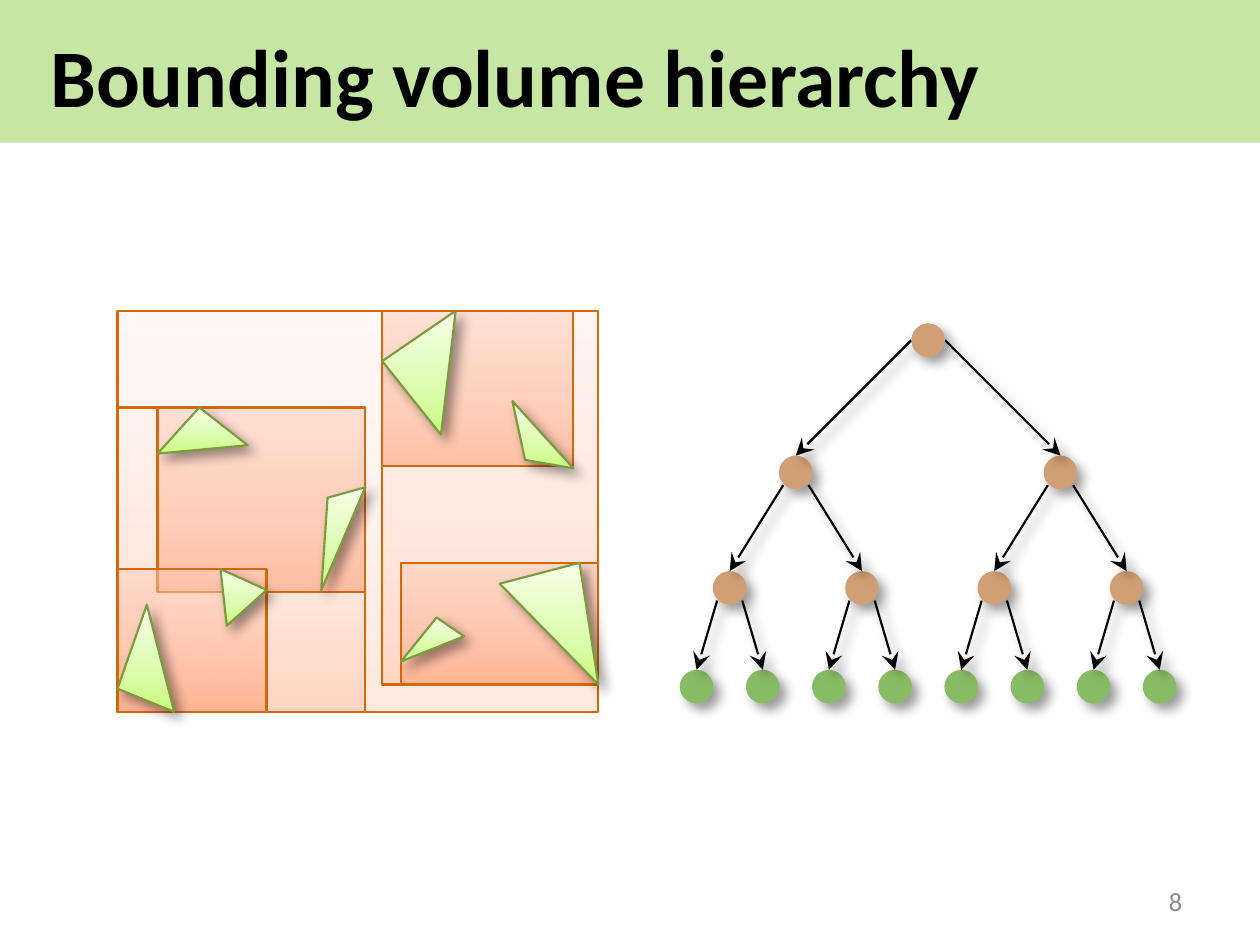
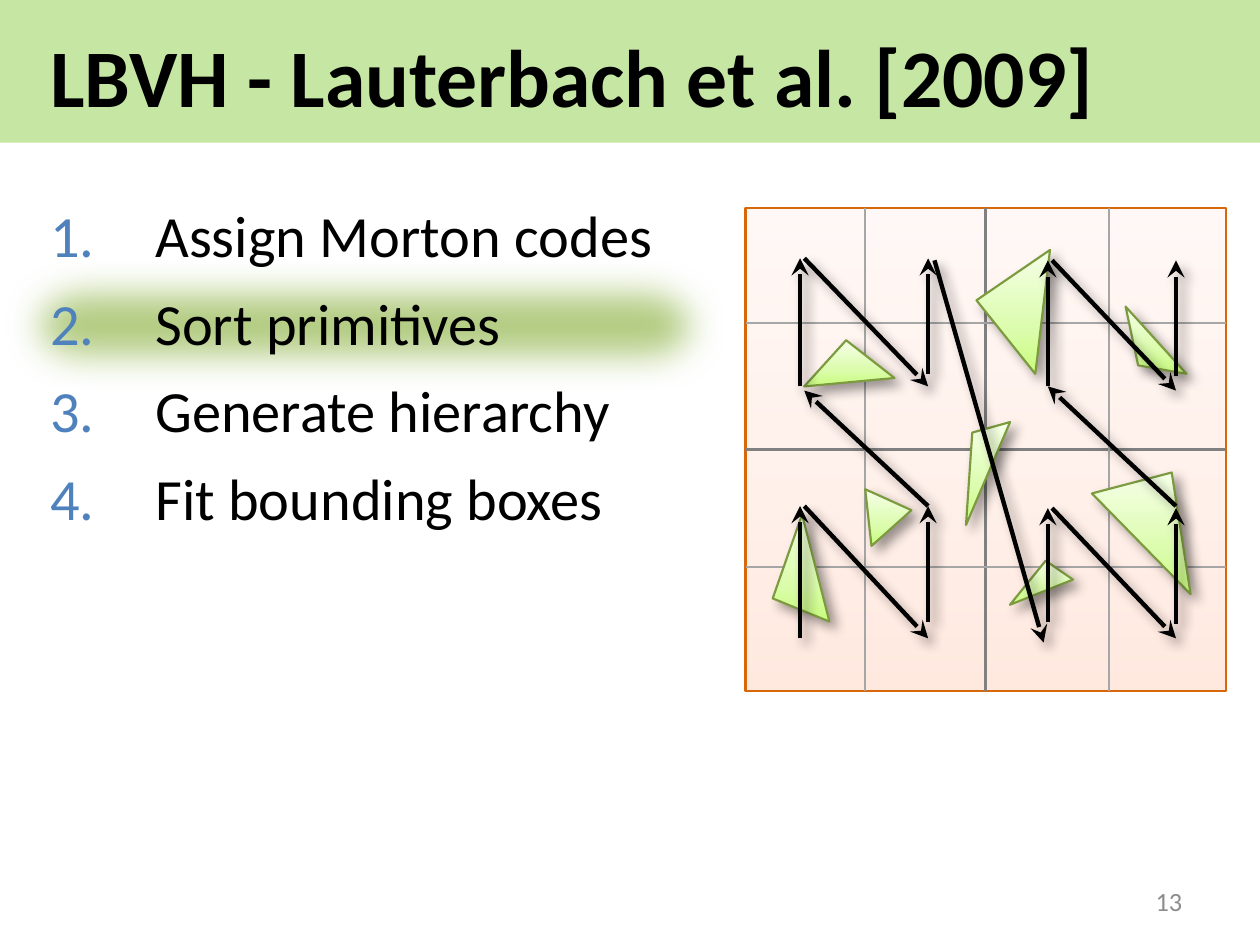
from lxml import etree
from pptx import Presentation
from pptx.dml.color import RGBColor
from pptx.enum.shapes import MSO_CONNECTOR, MSO_SHAPE
from pptx.enum.text import MSO_ANCHOR, PP_ALIGN
from pptx.oxml.ns import qn
from pptx.util import Inches, Pt

RECTANGLE = MSO_SHAPE.RECTANGLE
ROUNDED = MSO_SHAPE.ROUNDED_RECTANGLE
ELLIPSE = MSO_SHAPE.OVAL
STRAIGHT = MSO_CONNECTOR.STRAIGHT
TOP, MIDDLE = MSO_ANCHOR.TOP, MSO_ANCHOR.MIDDLE
LEFT, RIGHT = PP_ALIGN.LEFT, PP_ALIGN.RIGHT

BLACK = RGBColor(0x00, 0x00, 0x00)
BAND_GREEN = RGBColor(0x92, 0xD0, 0x50)
HIGHLIGHT_GREEN = RGBColor(0xB3, 0xCC, 0x82)
LEAF_GREEN = RGBColor(0x88, 0xBC, 0x64)
NODE_TAN = RGBColor(0xD1, 0x9F, 0x75)
BOX_ORANGE = RGBColor(0xD8, 0x67, 0x0A)
TRIANGLE_EDGE = RGBColor(0x7C, 0x9B, 0x3F)
NUMBER_BLUE = RGBColor(0x4F, 0x81, 0xBD)
PAGE_GRAY = RGBColor(0x8C, 0x8C, 0x8C)
MEDIAN_GRAY = RGBColor(0x80, 0x80, 0x80)
GRID_GRAY = RGBColor(0xA6, 0xA6, 0xA6)

STOPS = (0, 35, 100)
SCENE_TONE = ("FFD4C0", "FFE2D5", "FFF4F0")
HALF_TONE = ("FFC2A7", "FFDED0", "FFF3EE")
QUARTER_TONE = ("FF9564", "FFAE8B", "FFCFBC")
TRIANGLE_TONE = ("C9FC7E", "DBFCAC", "F5FFE7")

FONT = "Calibri"
TITLE_FONT = {"name": FONT, "size": Pt(28), "bold": True}
BODY_FONT = {"name": FONT, "size": Pt(20)}
PAGE_FONT = {"name": FONT, "size": Pt(9)}
INSETS = {
    "margin_left": Inches(0.07),
    "margin_right": Inches(0.07),
    "margin_top": Inches(0.04),
    "margin_bottom": Inches(0.04),
}

TRIANGLES = [
    [(0, 0.4), (0.14, 0), (0.27, 0.51)],
    [(0.03, 0.27), (0, 0), (0.22, 0.1)],
    [(0.17, 0), (0.3, 0.09), (0, 0.21)],
    [(0, 0.1), (0.38, 0), (0.47, 0.58)],
    [(0.03, 0.05), (0.21, 0), (0, 0.49)],
    [(0, 0.22), (0.2, 0), (0.43, 0.18)],
    [(0, 0.24), (0.35, 0), (0.28, 0.59)],
    [(0.06, 0.28), (0, 0), (0.29, 0.32)],
]
NESTED_PLACES = [(0, 1.4), (0.49, 1.23), (1.35, 1.46), (1.82, 1.2),
                 (0.97, 0.84), (0.19, 0.46), (1.26, 0), (1.88, 0.43)]
GRID_PLACES = [(0.13, 1.46), (0.57, 1.34), (1.26, 1.68), (1.65, 1.26),
               (1.05, 1.02), (0.28, 0.63), (1.1, 0.2), (1.81, 0.47)]
VOLUMES = [
    (0, 0, 2.29, 1.91, SCENE_TONE),
    (1.26, 0, 1.03, 1.78, HALF_TONE),
    (0, 0.46, 1.18, 1.45, HALF_TONE),
    (0.19, 0.46, 0.99, 0.88, QUARTER_TONE),
    (1.26, 0, 0.91, 0.74, QUARTER_TONE),
    (1.35, 1.2, 0.94, 0.58, QUARTER_TONE),
    (0, 1.23, 0.71, 0.68, QUARTER_TONE),
]
LEVEL_TOPS = (1.54, 2.17, 2.72, 3.19)
NODE_SIZE = 0.16
QUADRANTS = [
    (0.26, 1.42, 0.63, 0.63),
    (0.26, 0.24, 0.61, 0.61),
    (1.44, 1.43, 0.54, 0.62),
    (1.44, 0.25, 0.6, 0.62),
]
QUADRANT_LINKS = [
    (0.87, 1.42, 0.28, 0.87),
    (0.9, 0.25, 1.42, 2.07),
    (2.05, 1.42, 1.44, 0.85),
]
STEPS = ["Assign Morton codes", "Sort primitives",
         "Generate hierarchy", "Fit bounding boxes"]


def child(parent, tag, **attributes):
    element = etree.SubElement(parent, qn(tag))
    for name, value in attributes.items():
        element.set(name, str(value))
    return element


def set_effect(shape, shadow=False, soft_edge=None):
    effects = child(shape.element.spPr, "a:effectLst")
    if shadow:
        outer = child(effects, "a:outerShdw", blurRad=Pt(4), dist=Pt(3),
                      dir=2700000, algn="tl", rotWithShape=0)
        child(child(outer, "a:srgbClr", val=BLACK), "a:alpha", val=40000)
    if soft_edge:
        child(effects, "a:softEdge", rad=soft_edge)


def set_gradient(shape, tone, opacity=100):
    shape.fill.gradient()
    shape.fill.gradient_angle = 90
    stop_list = shape.element.spPr.find(".//" + qn("a:gsLst"))
    for stop in list(stop_list):
        stop_list.remove(stop)
    for position, color in zip(STOPS, tone):
        stop = child(stop_list, "a:gs", pos=position * 1000)
        color_element = child(stop, "a:srgbClr", val=color)
        child(color_element, "a:alpha", val=opacity * 1000)


def set_line(shape, color, width=0.75):
    shape.line.color.rgb = color
    shape.line.width = Pt(width)


def add_solid(slide, kind, box, color, opacity=100):
    shape = slide.shapes.add_shape(kind, *map(Inches, box))
    shape.fill.solid()
    shape.fill.fore_color.rgb = color
    if opacity < 100:
        color_element = shape.element.spPr.find(".//" + qn("a:srgbClr"))
        child(color_element, "a:alpha", val=opacity * 1000)
    shape.line.fill.background()
    return shape


def add_volume(slide, box, tone):
    shape = slide.shapes.add_shape(RECTANGLE, *map(Inches, box))
    set_gradient(shape, tone, 50)
    set_line(shape, BOX_ORANGE)
    set_effect(shape)
    return shape


def add_line(slide, ends, color, width):
    connector = slide.shapes.add_connector(STRAIGHT, *map(Inches, ends))
    set_line(connector, color, width)
    return connector


def add_grid_line(slide, ends, color, width):
    connector = add_line(slide, ends, color, width)
    set_effect(connector)
    return connector


def add_arrow(slide, ends, width):
    connector = add_line(slide, ends, BLACK, width)
    child(connector.element.spPr.find(qn("a:ln")), "a:tailEnd", type="stealth")
    set_effect(connector, shadow=True)
    return connector


def add_text(slide, box, lines, font, color, anchor=MIDDLE, align=LEFT):
    text_frame = slide.shapes.add_textbox(*map(Inches, box)).text_frame
    for name, value in INSETS.items():
        setattr(text_frame, name, value)
    text_frame.word_wrap = True
    text_frame.vertical_anchor = anchor
    text_frame.text = "\n".join(lines)
    for paragraph in text_frame.paragraphs:
        paragraph.alignment = align
        run_font = paragraph.runs[0].font
        for name, value in font.items():
            setattr(run_font, name, value)
        run_font.color.rgb = color
    return text_frame


def add_frame(presentation, title, page):
    slide = presentation.slides.add_slide(presentation.slide_layouts[6])
    set_effect(add_solid(slide, RECTANGLE, (0, 0, 6, 0.68), BAND_GREEN, 52))
    add_text(slide, (0.17, 0.08, 5.64, 0.55), [title], TITLE_FONT, BLACK)
    add_text(slide, (4.3, 4.17, 1.4, 0.24), [page], PAGE_FONT, PAGE_GRAY,
             align=RIGHT)
    return slide


def add_triangles(slide, left, top, places):
    for outline, (x, y) in zip(TRIANGLES, places):
        points = [(Inches(left + x + dx), Inches(top + y + dy))
                  for dx, dy in outline]
        builder = slide.shapes.build_freeform(*points[0])
        builder.add_line_segments(points[1:], close=True)
        triangle = builder.convert_to_shape()
        set_gradient(triangle, TRIANGLE_TONE)
        set_line(triangle, TRIANGLE_EDGE)
        set_effect(triangle, shadow=True)


def add_nested_volumes(slide, left, top):
    for x, y, width, height, tone in VOLUMES:
        add_volume(slide, (left + x, top + y, width, height), tone)
    add_triangles(slide, left, top, NESTED_PLACES)


def add_tree(slide, left, width):
    deepest = len(LEVEL_TOPS) - 1
    children = []
    for depth in range(deepest, -1, -1):
        pitch = width / 2 ** depth
        node_top = LEVEL_TOPS[depth]
        reach, drop = (0.08, 0.08) if depth == 0 else (0.06, 0.14)
        nodes = []
        for index in range(2 ** depth):
            center = left + (index + 0.5) * pitch
            for side, node in zip((-1, 1), children[2 * index:2 * index + 2]):
                edge = add_arrow(slide, (center + side * reach, node_top + drop,
                                         center, node_top), 0.75)
                edge.end_connect(node, 0)
            color = LEAF_GREEN if depth == deepest else NODE_TAN
            node = add_solid(slide, ELLIPSE, (center - NODE_SIZE / 2, node_top,
                                              NODE_SIZE, NODE_SIZE), color)
            set_effect(node, shadow=True)
            nodes.append(node)
        children = nodes


def add_steps(slide, left, top):
    highlight = add_solid(slide, ROUNDED, (0, top + 0.32, 3.47, 0.63),
                          HIGHLIGHT_GREEN)
    highlight.adjustments[0] = 0.34
    set_effect(highlight, soft_edge=Pt(12.5))
    text_frame = add_text(slide, (left, top, 3.07, 3.11), STEPS, BODY_FONT,
                          BLACK, anchor=TOP)
    for paragraph in text_frame.paragraphs:
        paragraph.space_before = Pt(6)
        properties = paragraph._p.get_or_add_pPr()
        properties.set("marL", str(Inches(0.5)))
        properties.set("indent", str(Inches(-0.5)))
        child(child(properties, "a:buClr"), "a:srgbClr", val=NUMBER_BLUE)
        child(properties, "a:buFont", typeface="+mj-lt")
        child(properties, "a:buAutoNum", type="arabicPeriod")


def add_morton_grid(slide, left, top, width, height):
    right, bottom = left + width, top + height
    scene = add_volume(slide, (left, top, width, height), SCENE_TONE)
    for start, end in ((1, 3), (0, 2)):
        median = add_grid_line(slide, (left, top, right, bottom), MEDIAN_GRAY, 1)
        median.begin_connect(scene, start)
        median.end_connect(scene, end)
    for x in (left + 0.57, left + 1.73):
        add_grid_line(slide, (x, top, x, bottom), GRID_GRAY, 0.75)
    for y in (top + 0.55, top + 1.71):
        add_grid_line(slide, (left, y, right, y), GRID_GRAY, 0.75)
    add_triangles(slide, left, top, GRID_PLACES)

    arrows = list(QUADRANT_LINKS)
    for x, y, rise, drop in QUADRANTS:
        arrows += [(x, y + rise, x, y),
                   (x + 0.02, y, x + 0.61, y + drop),
                   (x + 0.61, y + 0.55, x + 0.61, y)]
    for x1, y1, x2, y2 in arrows:
        add_arrow(slide, (left + x1, top + y1, left + x2, top + y2), 1.5)


def main():
    presentation = Presentation()
    presentation.slide_width = Inches(6)
    presentation.slide_height = Inches(4.5)

    slide = add_frame(presentation, "Bounding volume hierarchy", "8")
    add_nested_volumes(slide, 0.56, 1.48)
    add_tree(slide, 3.16, 2.52)

    slide = add_frame(presentation, "LBVH - Lauterbach et al. [2009]", "13")
    add_steps(slide, 0.17, 0.91)
    add_morton_grid(slide, 3.55, 0.99, 2.29, 2.3)

    presentation.save("out.pptx")


if __name__ == "__main__":
    main()
